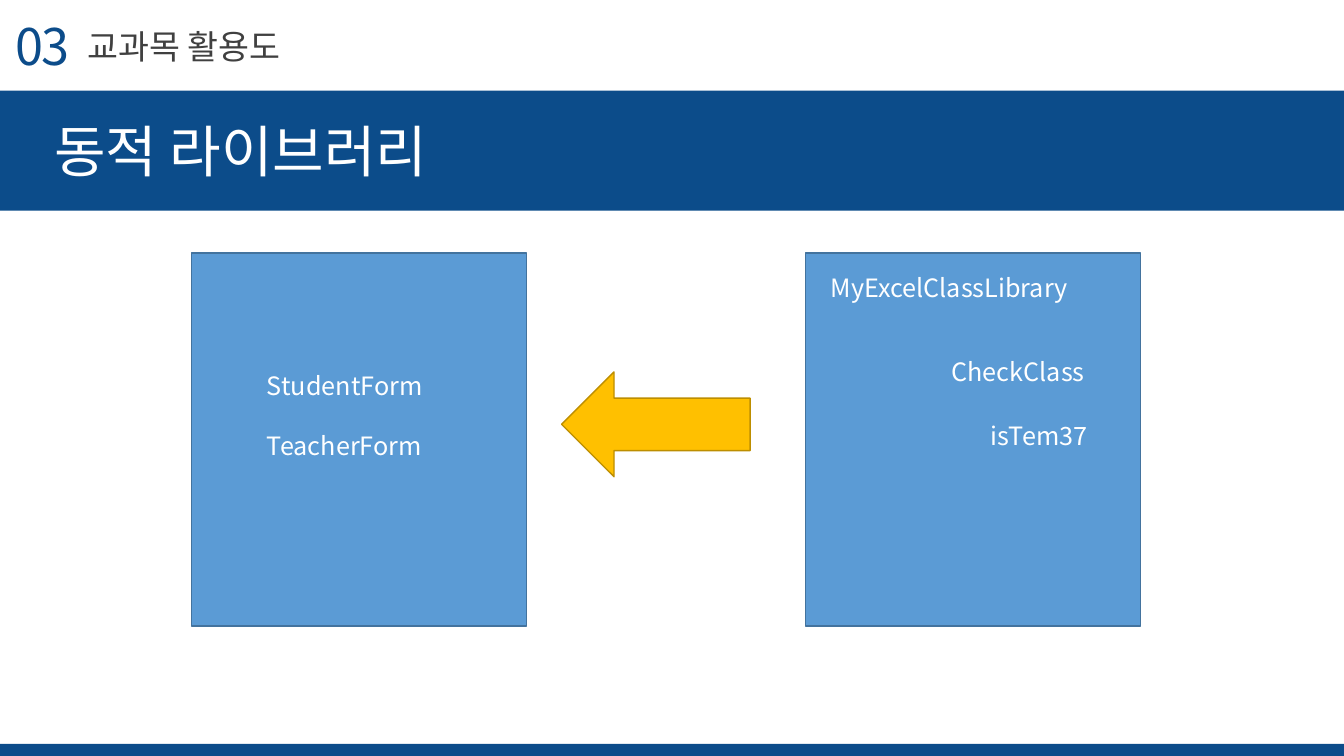
from lxml.etree import SubElement
from pptx import Presentation
from pptx.dml.color import RGBColor
from pptx.enum.shapes import MSO_SHAPE as Shape
from pptx.oxml.ns import qn
from pptx.util import Inches, Pt

FONT = "Noto Sans CJK KR"
COLORS = {
    "navy": "0C4C8A", "gray": "404040", "white": "FFFFFF",
    "blue": "5B9BD5", "blue_line": "43739E",
    "gold": "FFC000", "gold_line": "BD8E00",
}
SLIDE_WIDTH, SLIDE_HEIGHT = 13.33, 7.5

# Bands: top, height
BANDS = [(0.9, 1.19), (7.38, 0.12)]

# Library and form panels share one size and top edge
PANEL_LEFTS = [7.99, 1.9]
PANEL_TOP, PANEL_WIDTH, PANEL_HEIGHT = 2.51, 3.32, 3.7
ARROW_BOX = (5.57, 3.69, 1.87, 1.04)

# Texts: lines, box, size, color, letter spacing
HEADINGS = [
    (["03"], (0.06, 0.1, 0.77, 0.71), 36, "navy", -1.5),
    (["교과목 활용도"], (0.77, 0.21, 2.32, 0.5), 24, "gray", 0),
    (["동적 라이브러리"], (0.44, 1.11, 4.3, 0.77), 40, "white", 0),
]
LABELS = [
    (["MyExcelClassLibrary"], (8.14, 2.65, 3.18, 0.4)),
    (["CheckClass"], (9.34, 3.49, 1.87, 0.4)),
    (["isTem37"], (9.73, 4.12, 1.38, 0.4)),
    (["StudentForm", "TeacherForm"], (2.55, 3.62, 2.03, 1.01)),
]
LABEL_SIZE, LABEL_GAP = 18, 21.5


def color(name):
    return RGBColor.from_string(COLORS[name])


def add_shape(kind, box, fill, line=None):
    shape = slide.shapes.add_shape(kind, *map(Inches, box))
    shape.shadow.inherit = False
    shape.fill.solid()
    shape.fill.fore_color.rgb = color(fill)
    if line:
        shape.line.color.rgb = color(line)
        shape.line.width = Pt(1)
    else:
        shape.line.fill.background()
    return shape


def add_text(lines, box, size, text_color, spacing=0):
    frame = slide.shapes.add_textbox(*map(Inches, box)).text_frame
    frame.word_wrap = True
    frame.text = "\n".join(lines)
    for index, paragraph in enumerate(frame.paragraphs):
        font = paragraph.font
        font.name, font.size = FONT, Pt(size)
        font.color.rgb = color(text_color)
        if index:
            paragraph.space_before = Pt(LABEL_GAP)
        # East Asian typeface and letter spacing
        properties = paragraph._p.pPr.find(qn("a:defRPr"))
        SubElement(properties, qn("a:ea"), typeface=FONT)
        if spacing:
            properties.set("spc", str(int(spacing * 100)))


presentation = Presentation()
presentation.slide_width = Inches(SLIDE_WIDTH)
presentation.slide_height = Inches(SLIDE_HEIGHT)
slide = presentation.slides.add_slide(presentation.slide_layouts[6])

# Title and footer bands with headings
for top, height in BANDS:
    add_shape(Shape.RECTANGLE, (0, top, SLIDE_WIDTH, height), "navy")
for heading in HEADINGS:
    add_text(*heading)

# Panels and their labels
for left in PANEL_LEFTS:
    add_shape(Shape.RECTANGLE, (left, PANEL_TOP, PANEL_WIDTH, PANEL_HEIGHT),
              "blue", "blue_line")
for lines, box in LABELS:
    add_text(lines, box, LABEL_SIZE, "white")

# Arrow from the library to the forms
arrow = add_shape(Shape.RIGHT_ARROW, ARROW_BOX, "gold", "gold_line")
arrow.rotation = 180

presentation.save("out.pptx")
